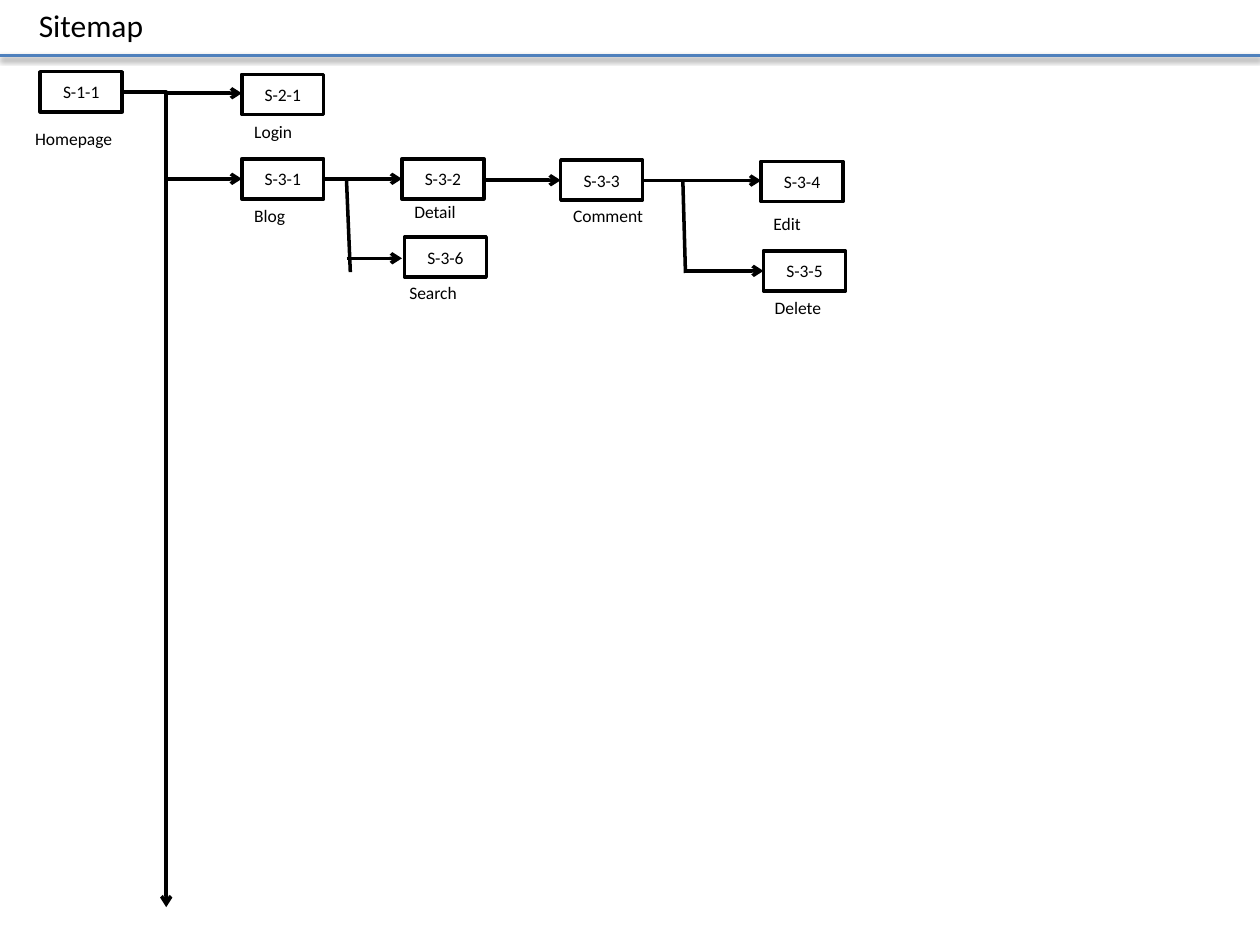
from dataclasses import dataclass

from lxml.etree import SubElement
from pptx import Presentation
from pptx.dml.color import RGBColor
from pptx.enum.shapes import MSO_CONNECTOR, MSO_SHAPE
from pptx.enum.text import MSO_ANCHOR, MSO_AUTO_SIZE, PP_ALIGN
from pptx.oxml.ns import qn
from pptx.util import Pt


@dataclass(frozen=True)
class Theme:
    font: str = "Calibri"
    ink: RGBColor = RGBColor(0, 0, 0)
    paper: RGBColor = RGBColor(255, 255, 255)
    accent: RGBColor = RGBColor(0x4F, 0x81, 0xBD)
    title_size: float = 18
    body_size: float = 10
    line_width: float = 2


@dataclass(frozen=True)
class Page:
    code: str
    name: str
    left: float
    top: float
    label_left: float
    label_top: float
    label_width: float
    label_height: float = 19.4


@dataclass(frozen=True)
class Link:
    start: tuple[float, float]
    end: tuple[float, float]
    arrow: bool = True
    bent: bool = False


THEME = Theme()
BOX_WIDTH, BOX_HEIGHT = 46.8, 23

PAGES = [
    Page("S-1-1", "Homepage", 23, 41, 13, 69.8, 59),
    Page("S-2-1", "Login", 138.2, 42.5, 138.2, 65.5, 36.7),
    Page("S-3-1", "Blog", 138.2, 90.7, 138.2, 113.8, 32.4),
    Page("S-3-2", "Detail", 229.7, 90.7, 229.7, 111.6, 38.9),
    Page("S-3-3", "Comment", 320.4, 91.4, 320.4, 113.8, 55.4),
    Page("S-3-4", "Edit", 434.9, 92.2, 434.9, 118.1, 30.2, 31.7),
    Page("S-3-5", "Delete", 436.3, 143.3, 435.6, 166.3, 41.8),
    Page("S-3-6", "Search", 231.1, 135.4, 226.8, 157.7, 42.5),
]

LINKS = [
    Link((69.8, 52.6), (95, 518.4), bent=True),  # homepage trunk
    Link((94.3, 53.3), (138.2, 53.3)),  # to login
    Link((94.3, 102.2), (138.2, 102.2)),  # to blog
    Link((185.8, 102.2), (229.7, 102.2)),  # blog to detail
    Link((276.5, 103), (320.4, 103)),  # detail to comment
    Link((367.9, 103.2), (434.9, 103.2)),  # comment to edit
    Link((390.2, 103), (391.7, 156), arrow=False),  # branch to delete
    Link((392.4, 154.8), (436.3, 154.8)),
    Link((198, 103), (200.2, 155.5), arrow=False),  # branch to search
    Link((198, 147.6), (229.7, 147.6)),
]


def write(frame, text: str, *, size: float = THEME.body_size,
          align: PP_ALIGN = PP_ALIGN.LEFT) -> None:
    para = frame.paragraphs[0]
    para.alignment = align
    span = para.add_run()
    span.text = text
    span.font.name = THEME.font
    span.font.size = Pt(size)
    span.font.color.rgb = THEME.ink


def add_label(slide, text: str, left: float, top: float, width: float,
              height: float, size: float = THEME.body_size) -> None:
    box = slide.shapes.add_textbox(Pt(left), Pt(top), Pt(width), Pt(height))
    box.text_frame.word_wrap = False
    box.text_frame.auto_size = MSO_AUTO_SIZE.SHAPE_TO_FIT_TEXT
    write(box.text_frame, text, size=size)


def add_page(slide, page: Page) -> None:
    box = slide.shapes.add_shape(MSO_SHAPE.RECTANGLE, Pt(page.left), Pt(page.top),
                                 Pt(BOX_WIDTH), Pt(BOX_HEIGHT))
    box.shadow.inherit = False
    box.fill.solid()
    box.fill.fore_color.rgb = THEME.paper
    box.line.color.rgb = THEME.ink
    box.line.width = Pt(THEME.line_width)
    box.text_frame.vertical_anchor = MSO_ANCHOR.MIDDLE
    write(box.text_frame, page.code, align=PP_ALIGN.CENTER)
    add_label(slide, page.name, page.label_left, page.label_top,
              page.label_width, page.label_height)


def add_link(slide, link: Link, color: RGBColor = THEME.ink):
    """Draw a line and return its effect list."""
    kind = MSO_CONNECTOR.ELBOW if link.bent else MSO_CONNECTOR.STRAIGHT
    line = slide.shapes.add_connector(kind, *map(Pt, link.start + link.end))
    line.line.color.rgb = color
    line.line.width = Pt(THEME.line_width)
    properties = line._element.spPr
    if link.bent:
        properties.find(qn("a:prstGeom")).set("prst", "bentConnector2")
    if link.arrow:
        SubElement(properties.find(qn("a:ln")), qn("a:tailEnd"), type="arrow")
    return SubElement(properties, qn("a:effectLst"))


def add_header(slide) -> None:
    effects = add_link(slide, Link((0, 31.7), (720, 31.7), arrow=False), THEME.accent)
    shadow = SubElement(effects, qn("a:outerShdw"), blurRad=str(Pt(3.1)),
                        dist=str(Pt(1.6)), dir="5400000", rotWithShape="0")
    tint = SubElement(shadow, qn("a:srgbClr"), val="000000")
    SubElement(tint, qn("a:alpha"), val="38000")
    add_label(slide, "Sitemap", 15.1, 0, 74.9, 29, THEME.title_size)


def main() -> None:
    deck = Presentation()
    deck.slide_width, deck.slide_height = Pt(720), Pt(540)
    slide = deck.slides.add_slide(deck.slide_layouts[6])

    # Title and rule
    add_header(slide)

    # Links lie behind the page boxes
    for link in LINKS:
        add_link(slide, link)
    for page in PAGES:
        add_page(slide, page)

    deck.save("out.pptx")


if __name__ == "__main__":
    main()
